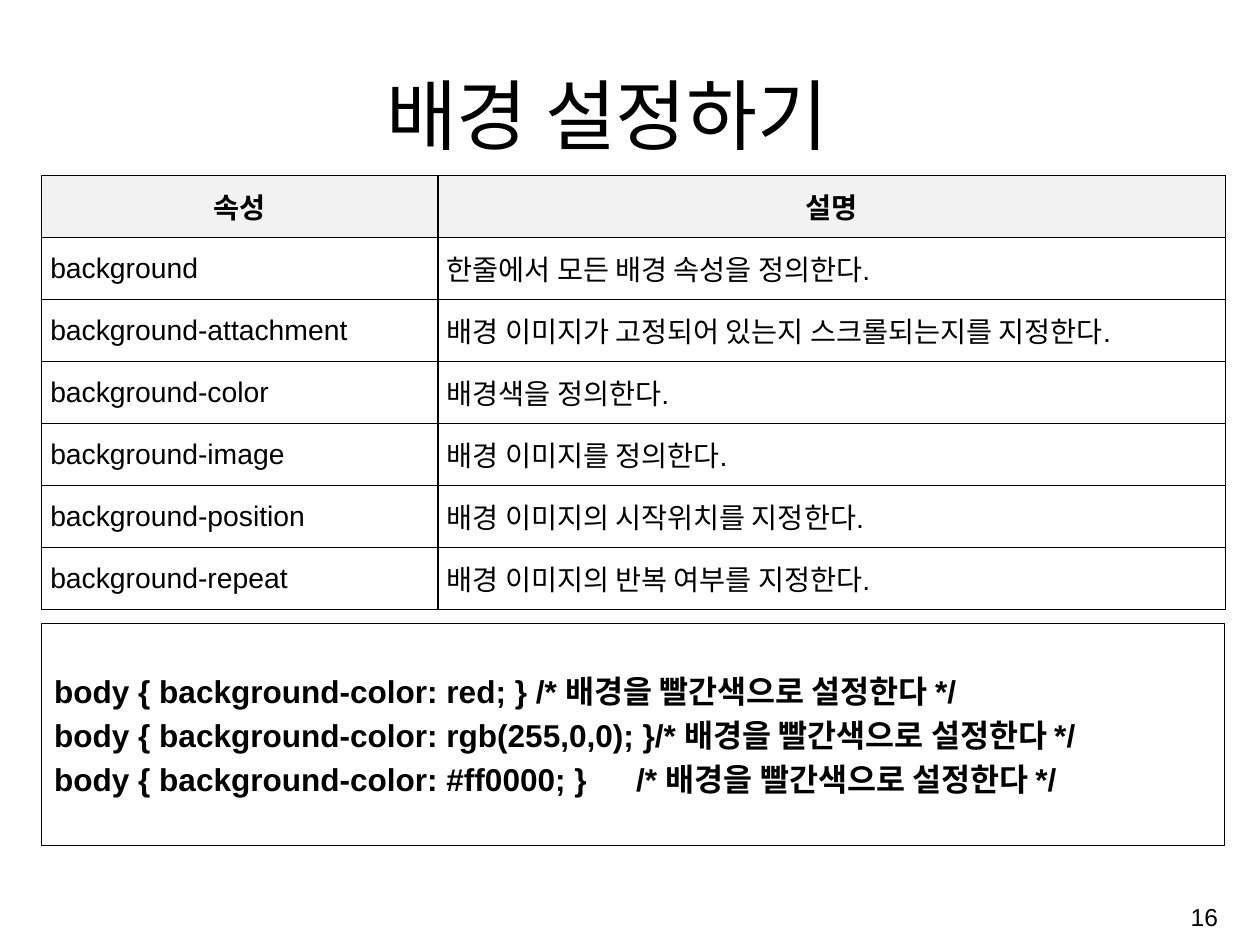
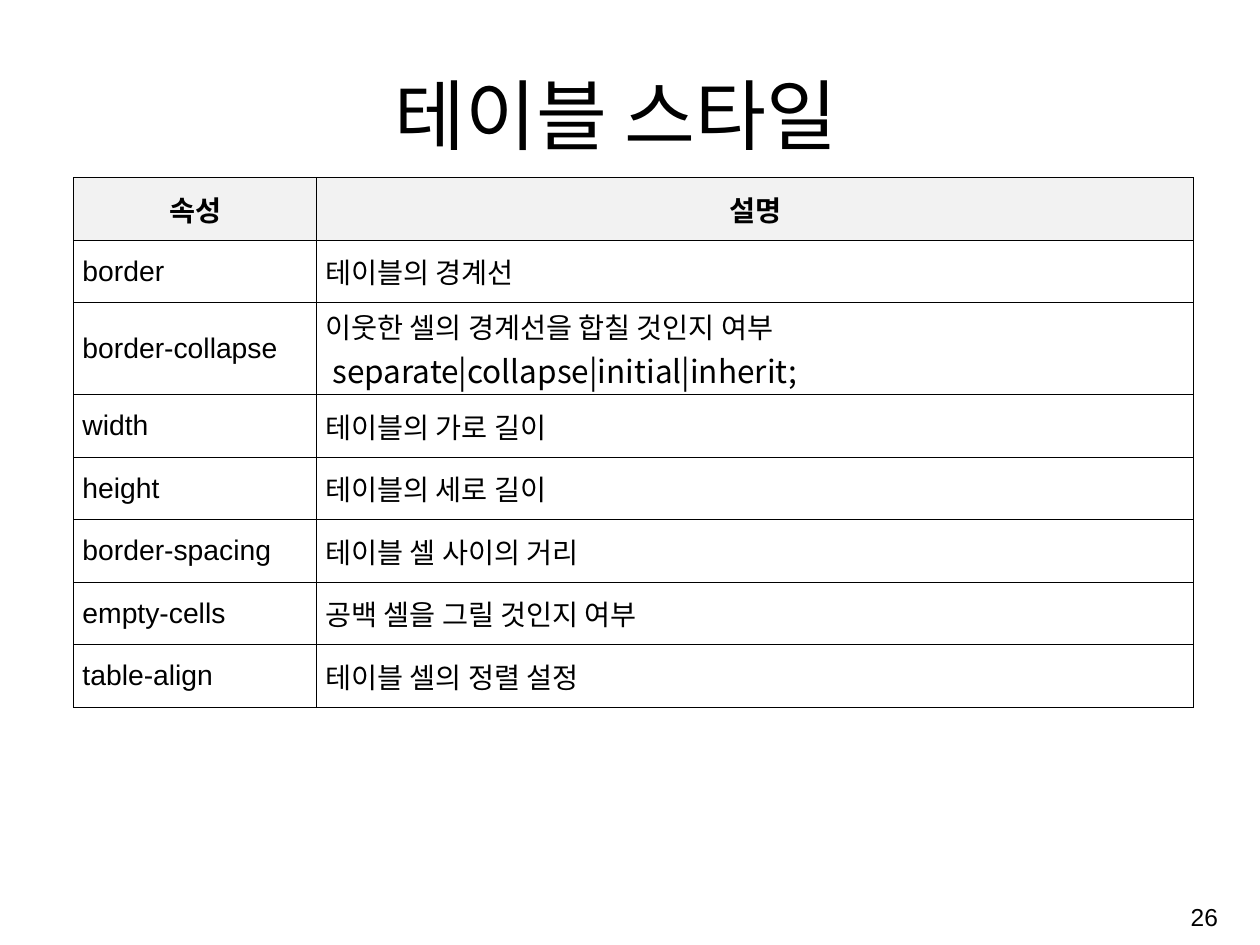
import pptx
import pptx.util
import pptx.dml.color
import pptx.enum.shapes
import pptx.enum.text
from lxml import etree

Pt = pptx.util.Pt
ALIGN = pptx.enum.text.PP_ALIGN
ANCHOR = pptx.enum.text.MSO_ANCHOR
A = "http://schemas.openxmlformats.org/drawingml/2006/main"
BLACK, HEADER_FILL = "000000", "F2F2F2"
FONT, CODE_FONT = "Arial", "Noto Sans CJK KR"
HEADER = ("속성", "설명")
TALL_ROW = 68.4


def color(value):
    return pptx.dml.color.RGBColor.from_string(value)


def write(tf, text, size=21, font=FONT, bold=False, align=ALIGN.LEFT,
          anchor=ANCHOR.MIDDLE, inset=(7.2, 3.6), before=0):
    tf.word_wrap = True
    tf.vertical_anchor = anchor
    tf.margin_left = tf.margin_right = Pt(inset[0])
    tf.margin_top = tf.margin_bottom = Pt(inset[1])
    for i, line in enumerate(text.split("\n")):
        p = tf.add_paragraph() if i else tf.paragraphs[0]
        p.alignment = align
        if i and before:
            p.space_before = Pt(before)
        r = p.add_run()
        r.text = line
        r.font.size, r.font.name, r.font.bold = Pt(size), font, bold
        r.font.color.rgb = color(BLACK)


prs = pptx.Presentation()
prs.slide_width, prs.slide_height = Pt(935.3), Pt(701.3)

pages = [
    {
        "title": "배경 설정하기 ", "number": "16",
        "at": (30.8, 130.3), "widths": (294.3, 584.6), "row": 46,
        "rows": [
            ("background", "한줄에서 모든 배경 속성을 정의한다. "),
            ("background-attachment", "배경 이미지가 고정되어 있는지 스크롤되는지를 지정한다. "),
            ("background-color", "배경색을 정의한다. "),
            ("background-image", "배경 이미지를 정의한다. "),
            ("background-position", "배경 이미지의 시작위치를 지정한다. "),
            ("background-repeat", "배경 이미지의 반복 여부를 지정한다. "),
        ],
        "code": "body { background-color: red; } /* 배경을 빨간색으로 설정한다 */\n"
                "body { background-color: rgb(255,0,0); }/* 배경을 빨간색으로 설정한다 */\n"
                "body { background-color: #ff0000; }\t/* 배경을 빨간색으로 설정한다 */",
    },
    {
        "title": "테이블 스타일", "number": "26",
        "at": (54.7, 131.8), "widths": (180.3, 651), "row": 46.4,
        "rows": [
            ("border", "테이블의 경계선"),
            ("border-collapse", "이웃한 셀의 경계선을 합칠 것인지 여부\n separate|collapse|initial|inherit;"),
            ("width", "테이블의 가로 길이"),
            ("height", "테이블의 세로 길이"),
            ("border-spacing", "테이블 셀 사이의 거리"),
            ("empty-cells", "공백 셀을 그릴 것인지 여부"),
            ("table-align", "테이블 셀의 정렬 설정"),
        ],
        "code": None,
    },
]

for page in pages:
    s = prs.slides.add_slide(prs.slide_layouts[6])
    title = s.shapes.add_textbox(Pt(75.4), Pt(44.4), Pt(763.9), Pt(77.8))
    write(title.text_frame, page["title"], size=57.2, align=ALIGN.CENTER, anchor=ANCHOR.BOTTOM)

    rows = [HEADER] + page["rows"]
    heights = [TALL_ROW if "\n" in texts[1] else page["row"] for texts in rows]
    left, top = page["at"]
    table = s.shapes.add_table(len(rows), 2, Pt(left), Pt(top), Pt(sum(page["widths"])),
                               Pt(sum(heights))).table
    for column, width in zip(table.columns, page["widths"]):
        column.width = Pt(width)
    for i, texts in enumerate(rows):
        table.rows[i].height = Pt(heights[i])
        for j, text in enumerate(texts):
            cell = table.cell(i, j)
            write(cell.text_frame, text, bold=i == 0,
                  align=ALIGN.JUSTIFY if i else ALIGN.CENTER)
            cell.vertical_anchor = ANCHOR.MIDDLE
            cell.margin_left = cell.margin_right = Pt(6.5)
            cell.margin_top = cell.margin_bottom = Pt(2.2)
            for p in cell.text_frame.paragraphs[1:]:
                p.runs[0].font.size, p.runs[0].font.name = Pt(23.4), CODE_FONT
            tcPr = cell._tc.get_or_add_tcPr()
            for side in ("lnL", "lnR", "lnT", "lnB"):
                ln = etree.SubElement(tcPr, f"{{{A}}}{side}", w=str(Pt(1)))
                fill = etree.SubElement(ln, f"{{{A}}}solidFill")
                etree.SubElement(fill, f"{{{A}}}srgbClr", val=BLACK)
            if i:
                cell.fill.background()
            else:
                cell.fill.solid()
                cell.fill.fore_color.rgb = color(HEADER_FILL)

    if page["code"]:
        sp = s.shapes.add_shape(pptx.enum.shapes.MSO_SHAPE.RECTANGLE,
                                Pt(left), Pt(462.9), Pt(878.2), Pt(164.7))
        sp.shadow.inherit = False
        sp.fill.background()
        sp.line.color.rgb = color(BLACK)
        sp.line.width = Pt(0.75)
        write(sp.text_frame, page["code"], size=23.4, bold=True, inset=(9.4, 4.3), before=4.7)
        for p in sp.text_frame.paragraphs:
            p._p.get_or_add_pPr().set("defTabSz", str(Pt(72)))

    number = s.shapes.add_textbox(Pt(718.2), Pt(658.4), Pt(193), Pt(43.2))
    write(number.text_frame, page["number"], size=18.2, align=ALIGN.RIGHT)

prs.save("out.pptx")
